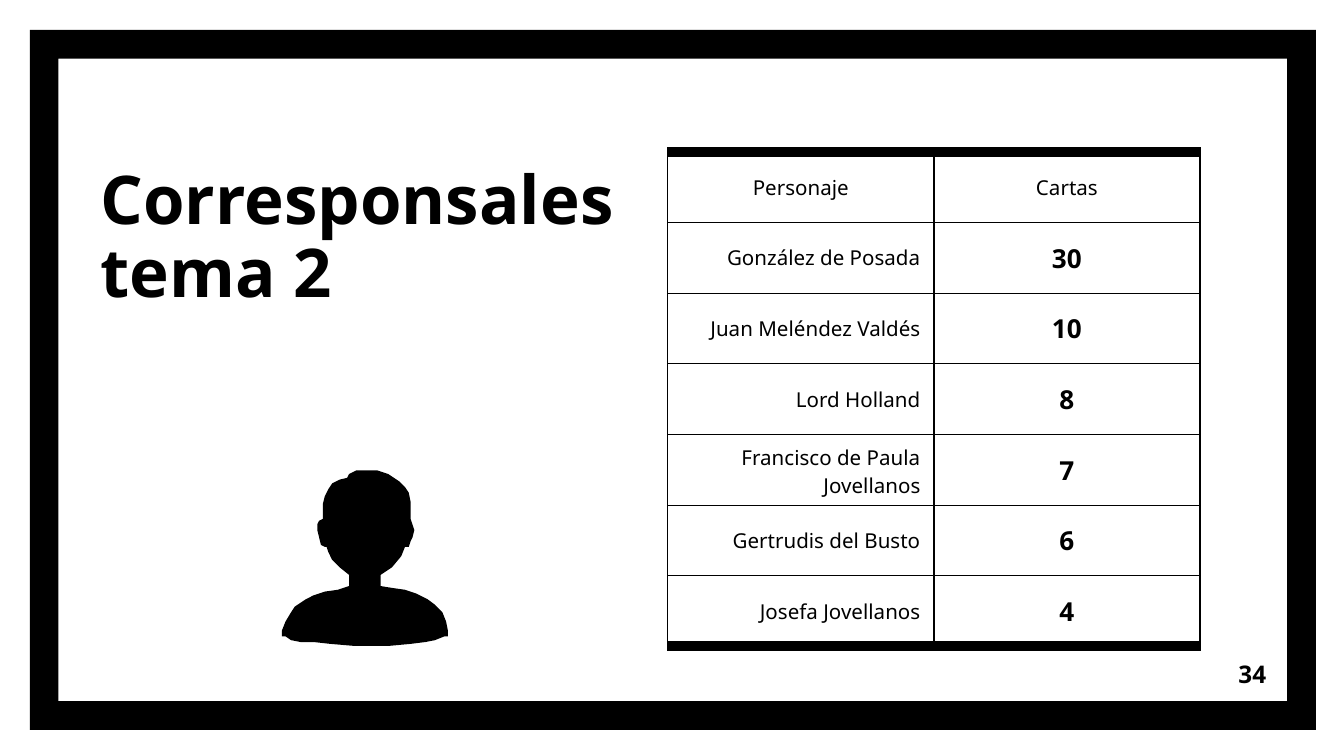
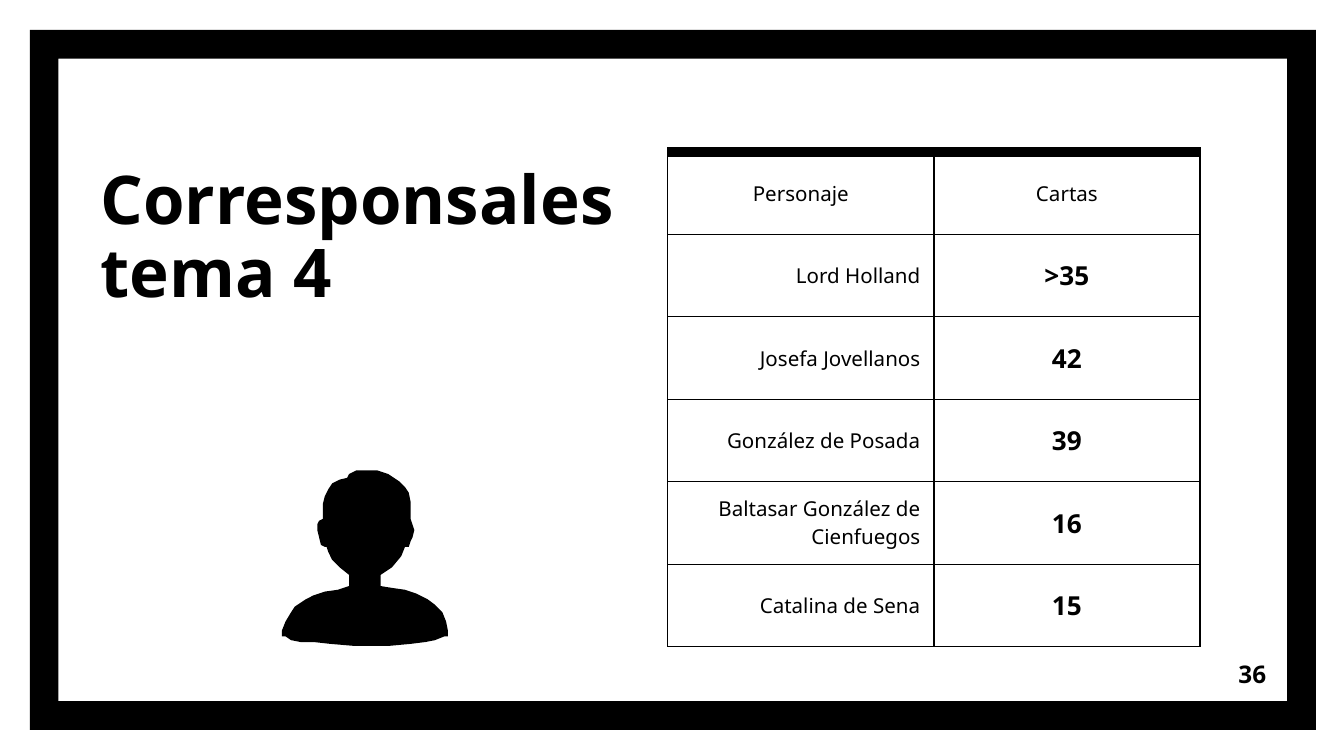
from dataclasses import dataclass

from lxml.etree import SubElement
from pptx import Presentation
from pptx.dml.color import RGBColor
from pptx.enum.shapes import MSO_SHAPE as Shape
from pptx.enum.text import MSO_ANCHOR as Anchor, PP_ALIGN as Align
from pptx.oxml.ns import qn
from pptx.util import Pt

# Content
HEADER = ("Personaje", "Cartas")
SLIDES = [
    {
        "title": "Corresponsales tema 2",
        "number": "34",
        "closing_rule": True,
        "letters": [
            ("González de Posada", "30"),
            ("Juan Meléndez Valdés", "10"),
            ("Lord Holland", "8"),
            ("Francisco de Paula Jovellanos", "7"),
            ("Gertrudis del Busto", "6"),
            ("Josefa Jovellanos", "4"),
        ],
    },
    {
        "title": "Corresponsales tema 4",
        "number": "36",
        "closing_rule": False,
        "letters": [
            ("Lord Holland", ">35"),
            ("Josefa Jovellanos", "42"),
            ("González de Posada", "39"),
            ("Baltasar González de Cienfuegos", "16"),
            ("Catalina de Sena", "15"),
        ],
    },
]

# Outline of the bust, in points on the slide
BUST = [
    # hair, left side
    (196, 252), (191, 252.5), (187, 254.5), (185.5, 256.5), (181.5, 257),
    (178.5, 259), (175.5, 262), (173.5, 266), (172.8, 270), (172.8, 278),
    # left ear and jaw
    (171.4, 279), (170.5, 281), (170, 284.5), (170.6, 288), (172, 291.5),
    (173.5, 293), (175, 293), (176.5, 296), (178.5, 300), (182, 304),
    # neck and left shoulder
    (187.2, 308.2), (187.2, 314), (181, 315.5), (174.5, 316.8), (168.5, 319),
    (163.5, 321), (158.5, 324.7), (155.5, 328.3), (152.6, 332.6), (151.2, 337.7),
    # base
    (151.2, 340.6), (153.4, 341.3), (156.2, 342.7), (161.3, 343.5), (167.8, 344.2),
    (177, 345.2), (188.6, 345.8), (196, 346), (209, 345.6), (219.6, 344.9),
    (227.5, 344.2), (233.3, 342.7), (238.3, 341.3), (240.5, 340.6),
    # right shoulder and neck
    (240.5, 337.7), (239, 332.6), (237, 327.6), (233, 324), (229, 321),
    (223, 318.2), (217.4, 316), (210.2, 314.7), (204.5, 314.3), (204.5, 308.2),
    # jaw, right ear and hair
    (210.2, 303.8), (214.6, 298), (216.7, 293), (219, 293), (220.3, 290.2),
    (221.4, 288), (221.8, 284.4), (221, 280.8), (219.6, 278.5), (219.6, 269),
    (218.9, 264), (216.7, 260.6), (213.8, 257.8), (208, 254.2), (201.6, 252),
]


@dataclass(frozen=True)
class Theme:
    ink: RGBColor = RGBColor(0, 0, 0)
    paper: RGBColor = RGBColor(255, 255, 255)
    font: str = "Noto Sans"
    title_size: int = 36
    count_size: int = 14
    number_size: int = 13
    label_size: int = 11
    thin_rule: float = 0.75
    thick_rule: float = 6


THEME = Theme()

# Places: left, top, width, height in points
SLIDE_SIZE = (720, 405)
FRAME = (16, 16, 689, 375)
TITLE = (46.8, 67, 298.8, 107.3)
TABLE = (357.8, 81.4, 285.1, 265)
NUMBER = (642.2, 345.6, 43.2, 31)


def points(*lengths):
    return [Pt(length) for length in lengths]


def style(paragraph, size, bold=False, align=Align.LEFT):
    paragraph.alignment = align
    font = paragraph.font
    font.name, font.size, font.bold = THEME.font, Pt(size), bold
    font.color.rgb = THEME.ink


def paint(shape):
    shape.shadow.inherit = False
    shape.fill.solid()
    shape.fill.fore_color.rgb = THEME.ink
    shape.line.fill.background()


def add_text(slide, box, text, size, anchor, align=Align.LEFT, spacing=1.0):
    frame = slide.shapes.add_textbox(*points(*box)).text_frame
    frame.word_wrap = True
    frame.vertical_anchor = anchor
    frame.margin_left = frame.margin_right = Pt(7.2)
    frame.margin_top = frame.margin_bottom = Pt(7.2)
    paragraph = frame.paragraphs[0]
    paragraph.text = text
    paragraph.line_spacing = spacing
    style(paragraph, size, bold=True, align=align)


def set_borders(cell, top, bottom):
    properties = cell._tc.get_or_add_tcPr()
    widths = {"lnL": THEME.thin_rule, "lnR": THEME.thin_rule, "lnT": top, "lnB": bottom}
    for side, width in widths.items():
        line = SubElement(properties, qn(f"a:{side}"), w=str(Pt(width)))
        fill = SubElement(line, qn("a:solidFill"))
        SubElement(fill, qn("a:srgbClr"), val=str(THEME.ink))


def add_letters_table(slide, letters, closing_rule):
    rows = [HEADER, *letters]
    table = slide.shapes.add_table(len(rows), len(HEADER), *points(*TABLE)).table
    table.first_row = table.horz_banding = False
    last = len(rows) - 1
    for row, values in enumerate(rows):
        table.rows[row].height = Pt(TABLE[3] / len(rows))
        top = THEME.thick_rule if row == 0 else THEME.thin_rule
        bottom = THEME.thick_rule if closing_rule and row == last else THEME.thin_rule
        for column, value in enumerate(values):
            cell = table.cell(row, column)
            cell.vertical_anchor = Anchor.MIDDLE
            cell.margin_left = cell.margin_right = Pt(7.2)
            cell.margin_top = cell.margin_bottom = Pt(5)
            set_borders(cell, top, bottom)
            cell.fill.background()
            paragraph = cell.text_frame.paragraphs[0]
            paragraph.text = value
            is_count = row > 0 and column == 1
            is_name = row > 0 and column == 0
            style(paragraph, THEME.count_size if is_count else THEME.label_size,
                  bold=is_count, align=Align.RIGHT if is_name else Align.CENTER)


def add_bust(slide):
    builder = slide.shapes.build_freeform(*BUST[0], scale=Pt(1))
    builder.add_line_segments(BUST[1:], close=True)
    paint(builder.convert_to_shape())


def add_slide(presentation, content):
    slide = presentation.slides.add_slide(presentation.slide_layouts[6])
    slide.background.fill.solid()
    slide.background.fill.fore_color.rgb = THEME.paper

    # Frame around the slide
    frame = slide.shapes.add_shape(Shape.FRAME, *points(*FRAME))
    frame.adjustments[0] = 0.041
    paint(frame)

    # Title, table, page number and bust
    add_text(slide, TITLE, content["title"], THEME.title_size, Anchor.BOTTOM, spacing=0.9)
    add_letters_table(slide, content["letters"], content["closing_rule"])
    add_text(slide, NUMBER, content["number"], THEME.number_size, Anchor.MIDDLE, Align.RIGHT)
    add_bust(slide)


def main():
    presentation = Presentation()
    presentation.slide_width, presentation.slide_height = points(*SLIDE_SIZE)
    for content in SLIDES:
        add_slide(presentation, content)
    presentation.save("out.pptx")


if __name__ == "__main__":
    main()
